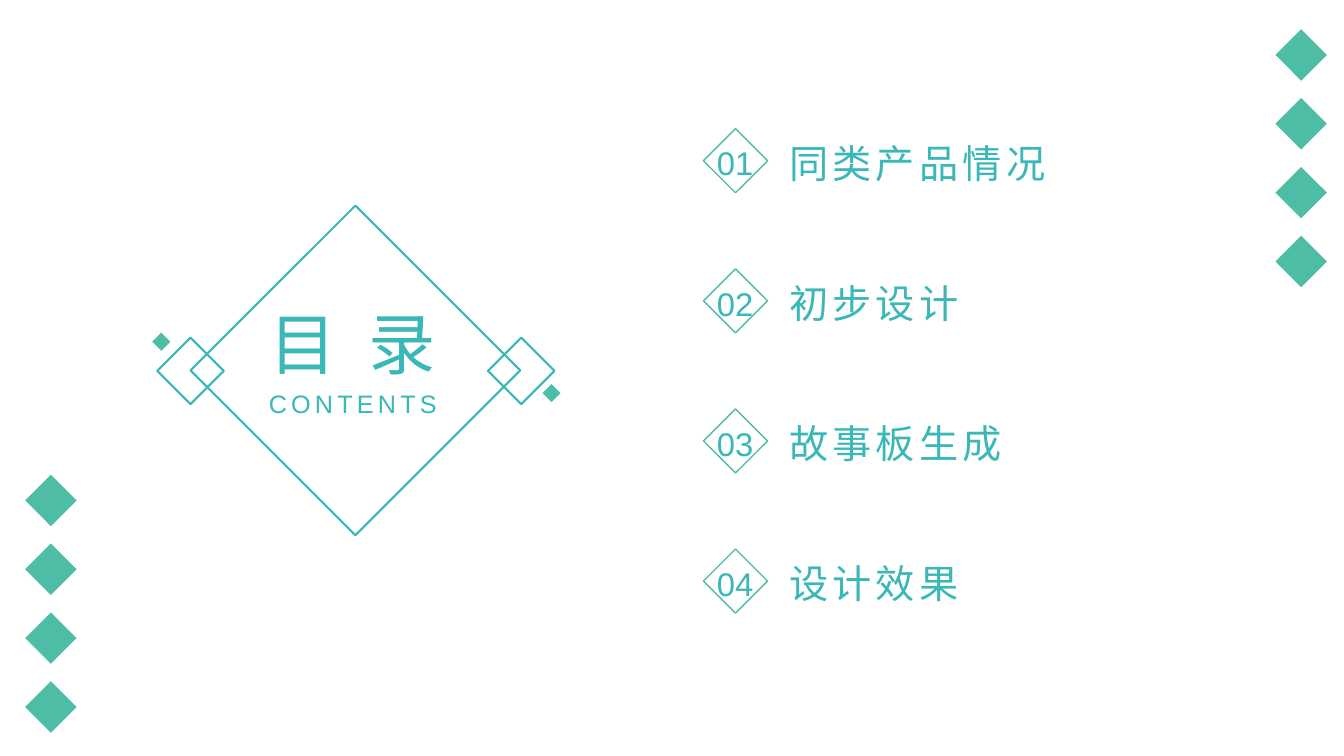
from pptx import Presentation
from pptx.dml.color import RGBColor
from pptx.enum.shapes import MSO_SHAPE as Kind
from pptx.enum.text import MSO_ANCHOR as Anchor, MSO_AUTO_SIZE as Fit, PP_ALIGN as Align
from pptx.util import Inches, Pt

TEAL = RGBColor(0x3A, 0xB7, 0xB7)
GREEN = RGBColor(0x4E, 0xBD, 0xA5)

TITLE = "目 录"
LABEL = "CONTENTS"
ITEMS = ["同类产品情况", "初步设计", "故事板生成", "设计效果"]
FRAMES = [(1.89, 2.04, 3.27), (1.56, 3.35, 0.66), (4.84, 3.35, 0.66)]
DOTS = [(1.51, 3.3), (5.38, 3.81)]
COLUMNS = [(0.25, 4.71), (12.65, 0.29)]
COUNT, STEP = 4, 0.683
ROW = 1.39

deck = Presentation()
deck.slide_width, deck.slide_height = Inches(13.33), Inches(7.5)
slide = deck.slides.add_slide(deck.slide_layouts[5])


def place(shape, *box):
    shape.left, shape.top, shape.width, shape.height = map(Inches, box)


def draw(kind, box, fill=None, line=None, width=1):
    shape = slide.shapes.add_shape(kind, *map(Inches, box))
    shape.shadow.inherit = False
    if fill is None:
        shape.fill.background()
    else:
        shape.fill.solid()
        shape.fill.fore_color.rgb = fill
    if line is None:
        shape.line.fill.background()
    else:
        shape.line.color.rgb = line
        shape.line.width = Pt(width)
    return shape


def write(shape, text, size, space=0, align=Align.CENTER, anchor=Anchor.TOP):
    frame = shape.text_frame
    frame.word_wrap = True
    frame.auto_size = Fit.NONE
    frame.vertical_anchor = anchor
    para = frame.paragraphs[0]
    para.alignment = align
    run = para.add_run()
    run.text = text
    run.font.size = Pt(size)
    run.font.name = "Arial"
    run.font.color.rgb = TEAL
    if space:
        run._r.get_or_add_rPr().set("spc", str(space * 100))
    return frame


def text_box(*box):
    return slide.shapes.add_textbox(*map(Inches, box))


for left, top, side in FRAMES:
    draw(Kind.DIAMOND, (left, top, side, side), line=TEAL, width=1.5)
for left, top in DOTS:
    draw(Kind.DIAMOND, (left, top, 0.18, 0.18), fill=GREEN)
for left, top in COLUMNS:
    for i in range(COUNT):
        draw(Kind.DIAMOND, (left, top + i * STEP, 0.51, 0.51), fill=GREEN)

for i, item in enumerate(ITEMS):
    top = 1.26 + i * ROW
    frame = write(text_box(7.73, top + 0.02, 3.81, 0.57), item, 28, 3,
                  Align.LEFT, Anchor.BOTTOM)
    frame.margin_bottom = 0
    badge = draw(Kind.OVAL, (6.84, top, 0.9, 0.71))
    write(badge, f"{i + 1:02d}", 23.4, anchor=Anchor.MIDDLE)
    frame = draw(Kind.RECTANGLE, (7.07, top + 0.11, 0.45, 0.45), line=GREEN)
    frame.rotation = 45

title = slide.shapes.title
place(title, 2.33, 2.95, 2.34, 0.92)
write(title, TITLE, 48, 6)
label = write(text_box(2.51, 3.65, 1.98, 0.5), LABEL, 18, 3)
label.paragraphs[0].line_spacing = 1.5

deck.save("out.pptx")
